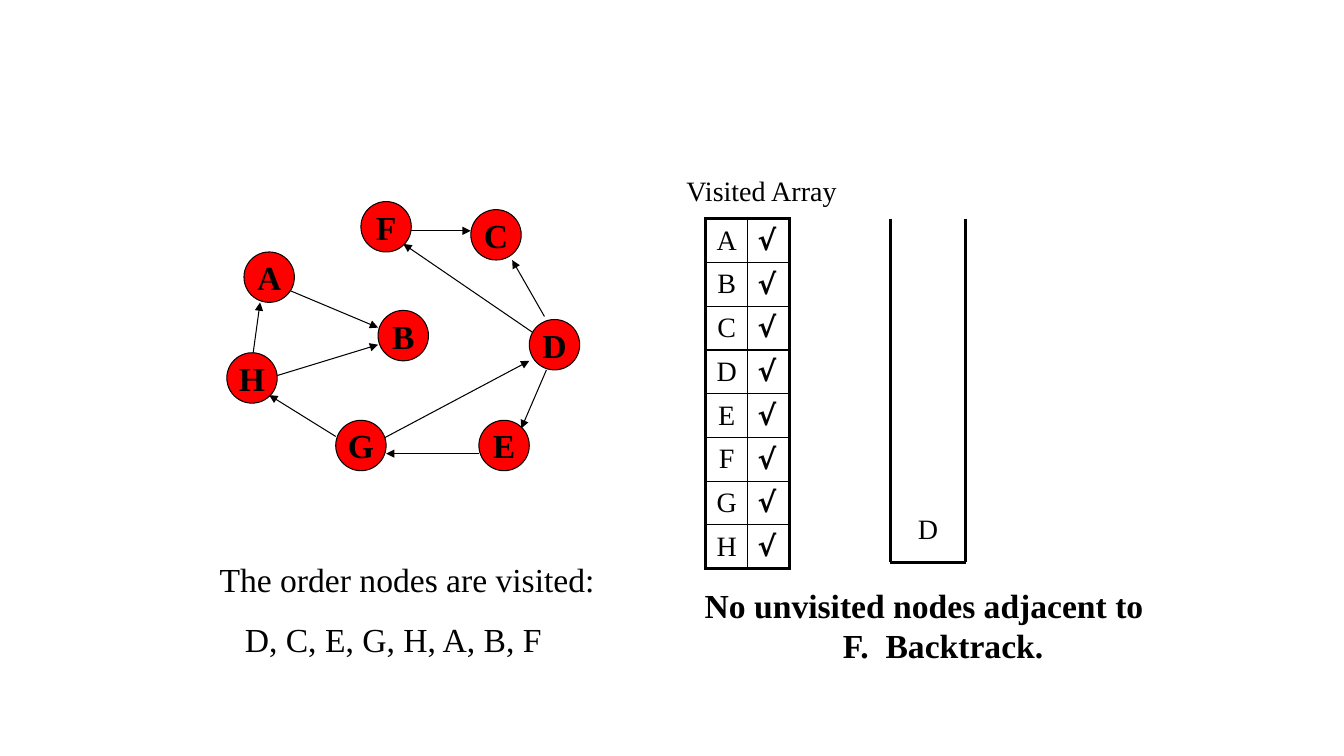
import pptx
import pptx.dml.color
import pptx.enum.shapes
import pptx.enum.text
import pptx.oxml
import pptx.oxml.ns
import pptx.util
from pptx.util import Inches

COLORS = {"ink": "000000", "visited": "FF0000"}
SERIF = "Times New Roman"
CENTER = pptx.enum.text.PP_ALIGN.CENTER
LEFT = pptx.enum.text.PP_ALIGN.LEFT
MIDDLE = pptx.enum.text.MSO_ANCHOR.MIDDLE

LABEL = {"name": SERIF, "size": pptx.util.Pt(20), "bold": False}
CHECK = {"name": "DejaVu Sans", "size": pptx.util.Pt(20), "bold": True}
CAPTION = {"name": SERIF, "size": pptx.util.Pt(24), "bold": False}
STRONG = {"name": SERIF, "size": pptx.util.Pt(24), "bold": True}

NODE_SIZE = 0.5
NODES = {
    "A": (0.17, 0.5), "B": (1.5, 1.08), "C": (2.42, 0.08), "D": (3, 1.17),
    "E": (2.5, 2.17), "F": (1.33, 0), "G": (1.08, 2.17), "H": (0, 1.5),
}
EDGES = {
    "DF": (3.08, 1.33, 1.75, 0.42),
    "DE": (3.17, 1.67, 2.92, 2.25),
    "DC": (3.15, 1.14, 2.83, 0.58),
    "HB": (0.42, 1.75, 1.5, 1.42),
    "HA": (0.25, 1.58, 0.33, 1),
    "GD": (1.42, 2.42, 3, 1.58),
    "GH": (1.08, 2.33, 0.42, 1.92),
    "AB": (0.5, 0.83, 1.5, 1.25),
    "EG": (2.5, 2.5, 1.58, 2.5),
    "FC": (1.83, 0.29, 2.42, 0.29),
}


def rgb(color):
    return pptx.dml.color.RGBColor.from_string(COLORS[color])


def xml(tag, body="", attributes=""):
    namespace = pptx.oxml.ns.nsdecls("a")
    return pptx.oxml.parse_xml(f"<a:{tag} {namespace} {attributes}>{body}</a:{tag}>")


def write(paragraph, text, style, align=LEFT):
    paragraph.text = text
    paragraph.alignment = align
    for attribute, value in style.items():
        setattr(paragraph.font, attribute, value)
    paragraph.font.color.rgb = rgb("ink")


def add_text(slide, box, lines, style, align=LEFT, indents=(0, 0)):
    """Write lines in a box; indents are the left margin and first-line indent."""
    frame = slide.shapes.add_textbox(*map(Inches, box)).text_frame
    frame.word_wrap = True
    for index, line in enumerate(lines):
        paragraph = frame.add_paragraph() if index else frame.paragraphs[0]
        properties = paragraph._p.get_or_add_pPr()
        for key, value in zip(("marL", "indent"), indents):
            properties.set(key, str(Inches(value)))
        write(paragraph, line, style, align)
    return frame


def add_line(slide, ends, weight, arrow=False):
    x1, y1, x2, y2 = map(Inches, ends)
    line = slide.shapes.add_connector(
        pptx.enum.shapes.MSO_CONNECTOR.STRAIGHT, x1, y1, x2, y2)
    line.line.color.rgb = rgb("ink")
    line.line.width = pptx.util.Pt(weight)
    if arrow:
        line.line._get_or_add_ln().append(xml("tailEnd", attributes='type="triangle"'))
    line._element.spPr.append(xml("effectLst"))


def add_graph(slide, left, top):
    for x1, y1, x2, y2 in EDGES.values():
        add_line(slide, (left + x1, top + y1, left + x2, top + y2), 0.75, arrow=True)
    for name, (x, y) in NODES.items():
        node = slide.shapes.add_shape(
            pptx.enum.shapes.MSO_SHAPE.OVAL,
            *map(Inches, (left + x, top + y, NODE_SIZE, NODE_SIZE)))
        node.shadow.inherit = False
        node.fill.solid()
        node.fill.fore_color.rgb = rgb("visited")
        node.line.color.rgb = rgb("ink")
        node.line.width = pptx.util.Pt(0.75)
        node.text_frame.word_wrap = False
        node.text_frame.vertical_anchor = MIDDLE
        write(node.text_frame.paragraphs[0], name, STRONG, CENTER)


def format_cell(cell, outer_sides):
    """Give the cell no fill, thin borders and thick ones on the outer sides."""
    for side in "LRTB":
        width = pptx.util.Pt(2.25 if side in outer_sides else 1)
        fill = f'<a:solidFill><a:srgbClr val="{COLORS["ink"]}"/></a:solidFill>'
        cell._tc.get_or_add_tcPr().append(xml(f"ln{side}", fill, f'w="{width}"'))
    cell.fill.background()
    cell.vertical_anchor = MIDDLE


def add_visited_array(slide, left, top, width, height):
    add_text(slide, (left - 0.29, top - 0.5, 1.83, 0.43), ["Visited Array"], LABEL)
    visited = slide.shapes.add_table(
        len(NODES), 2, *map(Inches, (left, top, width, height))).table
    visited.first_row = visited.horz_banding = False
    last = len(NODES) - 1
    for row, name in enumerate(NODES):
        visited.rows[row].height = Inches(height / len(NODES))
        vertical = "T" * (row == 0) + "B" * (row == last)
        columns = ((name, LABEL, CENTER, "L"), ("√", CHECK, LEFT, "R"))
        for column, (text, style, align, side) in enumerate(columns):
            cell = visited.cell(row, column)
            write(cell.text_frame.paragraphs[0], text, style, align)
            format_cell(cell, side + vertical)


def add_stack(slide, left, top, width, height, entry):
    right, bottom = left + width, top + height
    walls = ((left, top, left, bottom), (right, top, right, bottom),
             (left, bottom, right, bottom))
    for wall in walls:
        add_line(slide, wall, 2.25)
    add_text(slide, (left, bottom - 0.55, width, 0.42), [entry], LABEL, CENTER)


def add_visit_order(slide, box):
    order = add_text(
        slide, box, ["The order nodes are visited:", "D, C, E, G, H, A, B, F"], CAPTION)
    nodes = order.paragraphs[1]
    nodes._p.get_or_add_pPr().set("marL", str(Inches(0.25)))
    nodes.space_before = pptx.util.Pt(14)


def main():
    presentation = pptx.Presentation()
    presentation.slide_width = Inches(13.33)
    presentation.slide_height = Inches(7.5)
    slide = presentation.slides.add_slide(presentation.slide_layouts[6])
    add_graph(slide, 2.25, 2)
    add_visited_array(slide, 7, 2.17, 0.83, 3.47)
    add_stack(slide, 8.83, 2.17, 0.75, 3.41, "D")
    add_text(slide, (6.75, 5.75, 4.83, 0.91),
             ["No unvisited nodes adjacent to F.  Backtrack."],
             STRONG, CENTER, indents=(0.38, -0.38))
    add_visit_order(slide, (2.08, 5.5, 4.5, 1.11))
    presentation.save("out.pptx")


if __name__ == "__main__":
    main()
